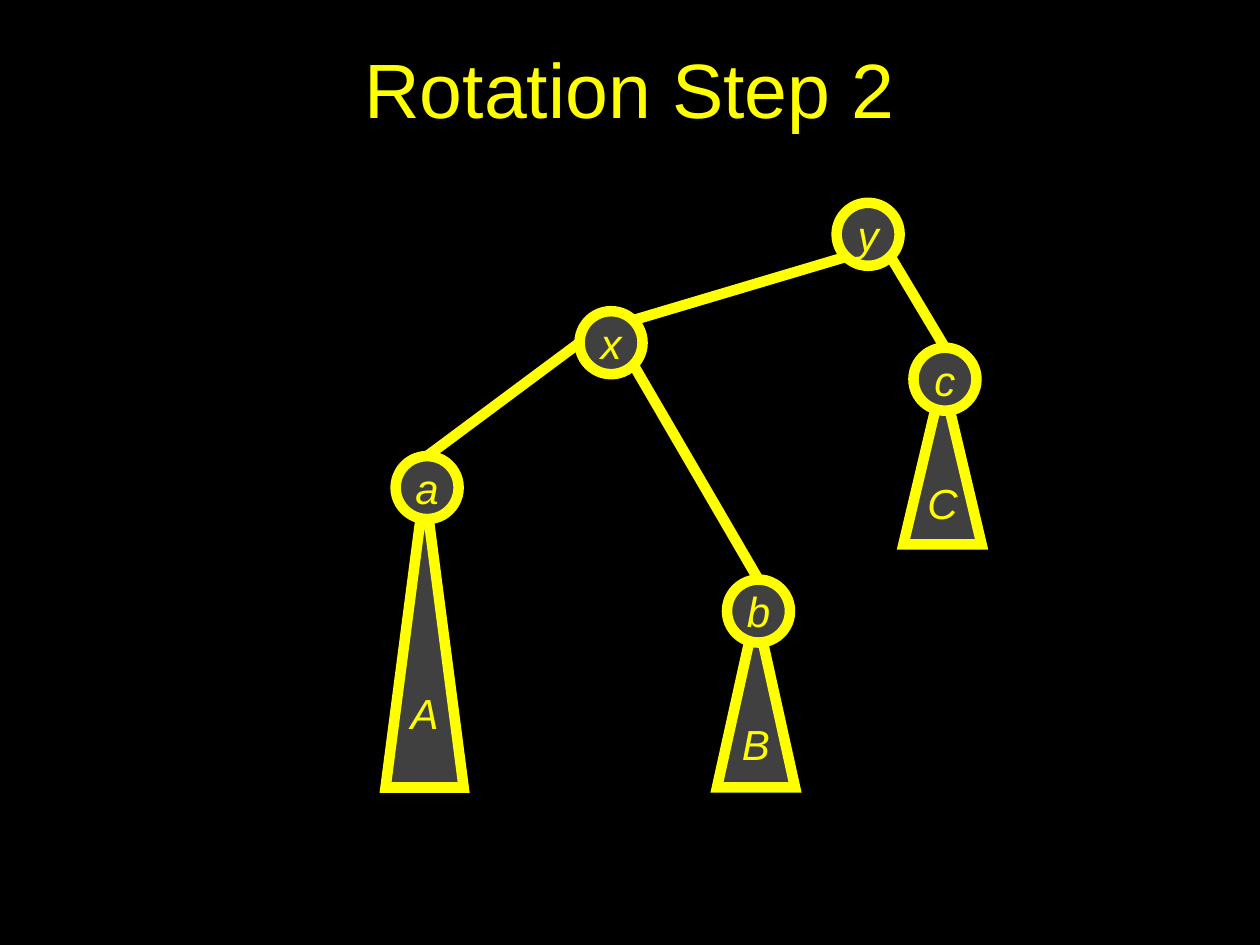
from dataclasses import dataclass

from lxml import etree
from pptx import Presentation
from pptx.dml.color import RGBColor
from pptx.enum.shapes import MSO_CONNECTOR, MSO_SHAPE
from pptx.enum.text import MSO_ANCHOR, PP_ALIGN
from pptx.oxml.ns import qn
from pptx.util import Pt

PX = 9144  # EMU per px, 100 px to the inch
STRAIGHT = MSO_CONNECTOR.STRAIGHT
OVAL, TRIANGLE = MSO_SHAPE.OVAL, MSO_SHAPE.ISOSCELES_TRIANGLE
MIDDLE, CENTER = MSO_ANCHOR.MIDDLE, PP_ALIGN.CENTER


@dataclass(frozen=True)
class Theme:
    back: RGBColor = RGBColor(0x00, 0x00, 0x00)
    ink: RGBColor = RGBColor(0xFF, 0xFF, 0x00)
    fill: RGBColor = RGBColor(0x40, 0x40, 0x40)
    font: str = "Arial"
    title: int = 44
    label: int = 24
    line: int = 6


class TreeSlide:
    NODE = 50  # node diameter
    BASE = 62  # subtree base width
    # Where an edge meets a node, relative to its centre
    PORTS = {"top": (0, -25), "left": (-25, 0), "top right": (18, -18),
             "bottom left": (-18, 18), "bottom right": (18, 18)}

    def __init__(self, prs, theme, centers):
        self.t = theme
        self.centers = centers
        self.s = prs.slides.add_slide(prs.slide_layouts[6])
        self.s.background.fill.solid()
        self.s.background.fill.fore_color.rgb = theme.back

    def text(self, sp, text, size, italic=False):
        tf = sp.text_frame
        tf.vertical_anchor = MIDDLE
        p = tf.paragraphs[0]
        p.alignment = CENTER
        r = p.add_run()
        r.text = text
        r.font.name = self.t.font
        r.font.size = Pt(size)
        r.font.italic = italic
        r.font.color.rgb = self.t.ink
        return tf

    def outline(self, sp):
        sp.line.color.rgb = self.t.ink
        sp.line.width = Pt(self.t.line)

    def title(self, text, x, y, w, h):
        sp = self.s.shapes.add_textbox(x * PX, y * PX, w * PX, h * PX)
        self.text(sp, text, self.t.title).word_wrap = True

    def shape(self, kind, label, x, y, w, h):
        sp = self.s.shapes.add_shape(kind, x * PX, y * PX, w * PX, h * PX)
        sp.shadow.inherit = False
        sp.fill.solid()
        sp.fill.fore_color.rgb = self.t.fill
        self.outline(sp)
        self.text(sp, label, self.t.label, italic=True).word_wrap = False
        return sp

    def node(self, name):
        cx, cy = self.centers[name]
        d = self.NODE
        tf = self.shape(OVAL, name, cx - d // 2, cy - d // 2, d, d).text_frame
        tf.margin_left = tf.margin_right = tf.margin_top = tf.margin_bottom = 0

    def subtree(self, name, bottom):
        cx, cy = self.centers[name]
        left = cx - self.BASE // 2 - 2
        sp = self.shape(TRIANGLE, name.upper(), left, cy, self.BASE, bottom - cy)
        ln = sp.line.fill._xPr  # sharp corners
        etree.SubElement(ln, qn("a:miter"), lim="800000")

    def port(self, name, side):
        return [(c + d) * PX for c, d in zip(self.centers[name], self.PORTS[side])]

    def edge(self, parent, out_side, child, in_side):
        cn = self.s.shapes.add_connector(
            STRAIGHT, *self.port(parent, out_side), *self.port(child, in_side))
        self.outline(cn)
        etree.SubElement(cn._element.spPr, qn("a:effectLst"))


def main():
    prs = Presentation()
    prs.slide_width, prs.slide_height = 1000 * PX, 750 * PX
    centers = {"y": (689, 186), "x": (485, 272), "a": (339, 387),
               "b": (602, 485), "c": (750, 301)}
    tree = TreeSlide(prs, Theme(), centers)

    tree.title("Rotation Step 2", 0, 7, 1000, 125)

    # Edges lie below the subtrees, and those below the nodes
    for edge in [("y", "bottom left", "x", "top right"),
                 ("x", "left", "a", "top"),
                 ("x", "bottom right", "b", "top"),
                 ("y", "bottom right", "c", "top")]:
        tree.edge(*edge)

    for name, bottom in [("b", 625), ("a", 625), ("c", 432)]:
        tree.subtree(name, bottom)

    for name in centers:
        tree.node(name)

    prs.save("out.pptx")


if __name__ == "__main__":
    main()
